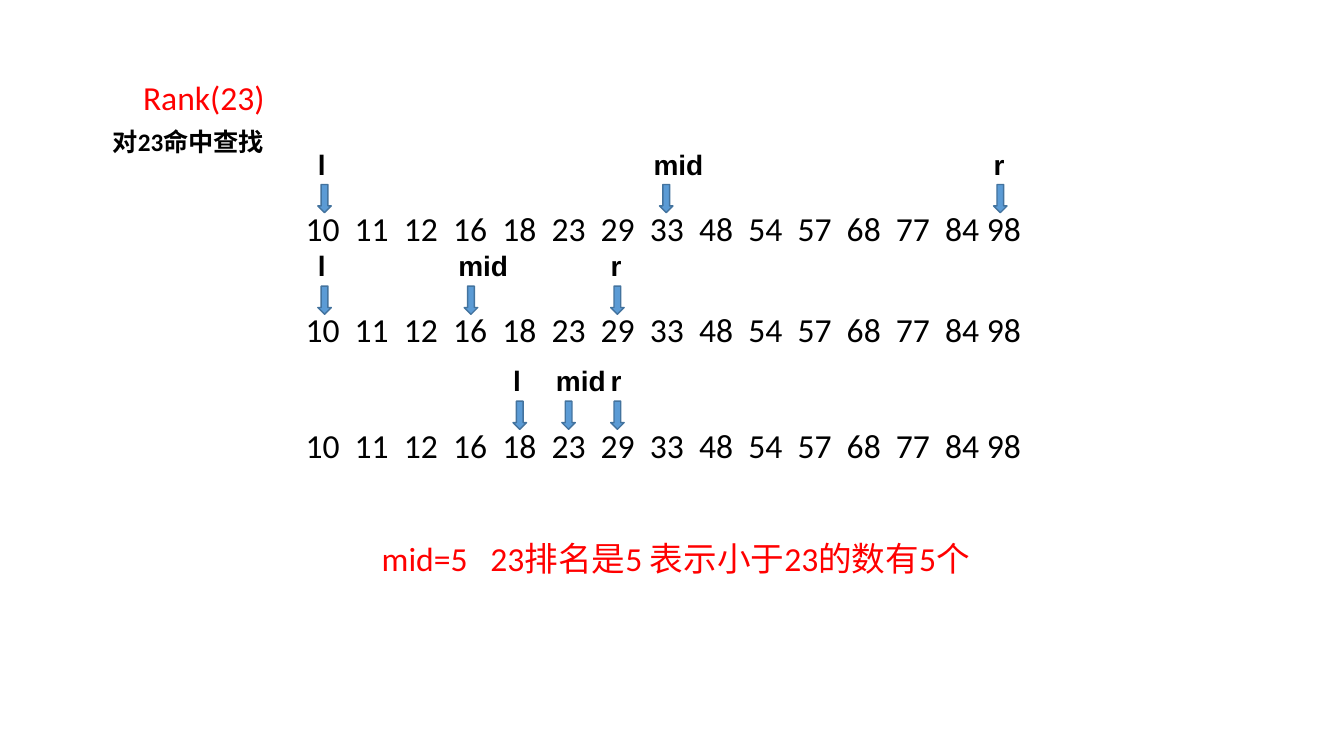
from pptx import Presentation
from pptx.dml.color import RGBColor
from pptx.enum.shapes import MSO_SHAPE
from pptx.enum.text import MSO_ANCHOR, MSO_AUTO_SIZE, PP_ALIGN
from pptx.util import Cm, Pt

COLORS = {"text": "000000", "accent": "FF0000", "arrow": "5B9BD5", "outline": "43739E"}

NUMBERS = "10  11  12  16  18  23  29  33  48  54  57  68  77  84 98"
VALUES = NUMBERS.split()
FIRST_CENTER, PITCH, SPACE = 8.18, 1.23, 0.19

# Top of each row in cm, with the number each pointer marks
STEPS = [
    (5.11, {"l": "10", "r": "98", "mid": "33"}),
    (7.67, {"l": "10", "r": "29", "mid": "16"}),
    (10.57, {"l": "18", "r": "29", "mid": "23"}),
]


def number_center(value):
    """Horizontal centre of a number; the last one has a single space before it."""
    index = VALUES.index(value)
    center = FIRST_CENTER + index * PITCH
    return center - SPACE if index == len(VALUES) - 1 else center


class SlideBuilder:
    def __init__(self, slide):
        self.slide = slide

    def fill_text(self, shape, text, size, color="text", font="Calibri", bold=False):
        frame = shape.text_frame
        frame.word_wrap = True
        frame.auto_size = MSO_AUTO_SIZE.NONE
        frame.vertical_anchor = MSO_ANCHOR.TOP
        paragraph = frame.paragraphs[0]
        paragraph.alignment = PP_ALIGN.LEFT
        run = paragraph.add_run()
        run.text = text
        run.font.name = font
        run.font.size = Pt(size)
        run.font.bold = bold
        run.font.color.rgb = RGBColor.from_string(COLORS[color])

    def title(self, text, left, top, width, height):
        shape = self.slide.shapes.title
        shape.left, shape.top = Cm(left), Cm(top)
        shape.width, shape.height = Cm(width), Cm(height)
        self.fill_text(shape, text, 24, "accent")

    def text(self, text, left, top, width, height, size, parent=None, **style):
        shapes = (parent or self.slide).shapes
        box = shapes.add_textbox(Cm(left), Cm(top), Cm(width), Cm(height))
        self.fill_text(box, text, size, **style)

    def pointer(self, label, center, row_top):
        """A down arrow with its label, grouped above a number."""
        group = self.slide.shapes.add_group_shape()
        arrow = group.shapes.add_shape(
            MSO_SHAPE.DOWN_ARROW, Cm(center - 0.17), Cm(row_top - 0.46), Cm(0.34), Cm(0.71))
        arrow.shadow.inherit = False
        arrow.fill.solid()
        arrow.fill.fore_color.rgb = RGBColor.from_string(COLORS["arrow"])
        arrow.line.color.rgb = RGBColor.from_string(COLORS["outline"])
        arrow.line.width = Pt(1)
        offset, width = (0.57, 2.11) if label == "mid" else (0.42, 0.74)
        self.text(label, center - offset, row_top - 1.53, width, 1.11, 20,
                  parent=group, font="Arial", bold=True)


def main():
    presentation = Presentation()
    presentation.slide_width, presentation.slide_height = Cm(33.87), Cm(19.05)
    slide = presentation.slides.add_slide(presentation.slide_layouts[5])
    builder = SlideBuilder(slide)

    # Heading
    builder.title("Rank(23)", 3.35, 1.8, 15.62, 1.27)
    builder.text("对23命中查找", 2.59, 3.05, 13.11, 1.02, 18, bold=True)

    # Binary search steps
    for row_top, pointers in STEPS:
        builder.text(NUMBERS, 7.45, row_top, 18.77, 1.27, 24)
        for label, value in pointers.items():
            builder.pointer(label, number_center(value), row_top)

    # Result
    builder.text("mid=5   23排名是5 表示小于23的数有5个",
                 9.37, 13.44, 15.62, 1.27, 24, color="accent")

    presentation.save("out.pptx")


if __name__ == "__main__":
    main()
